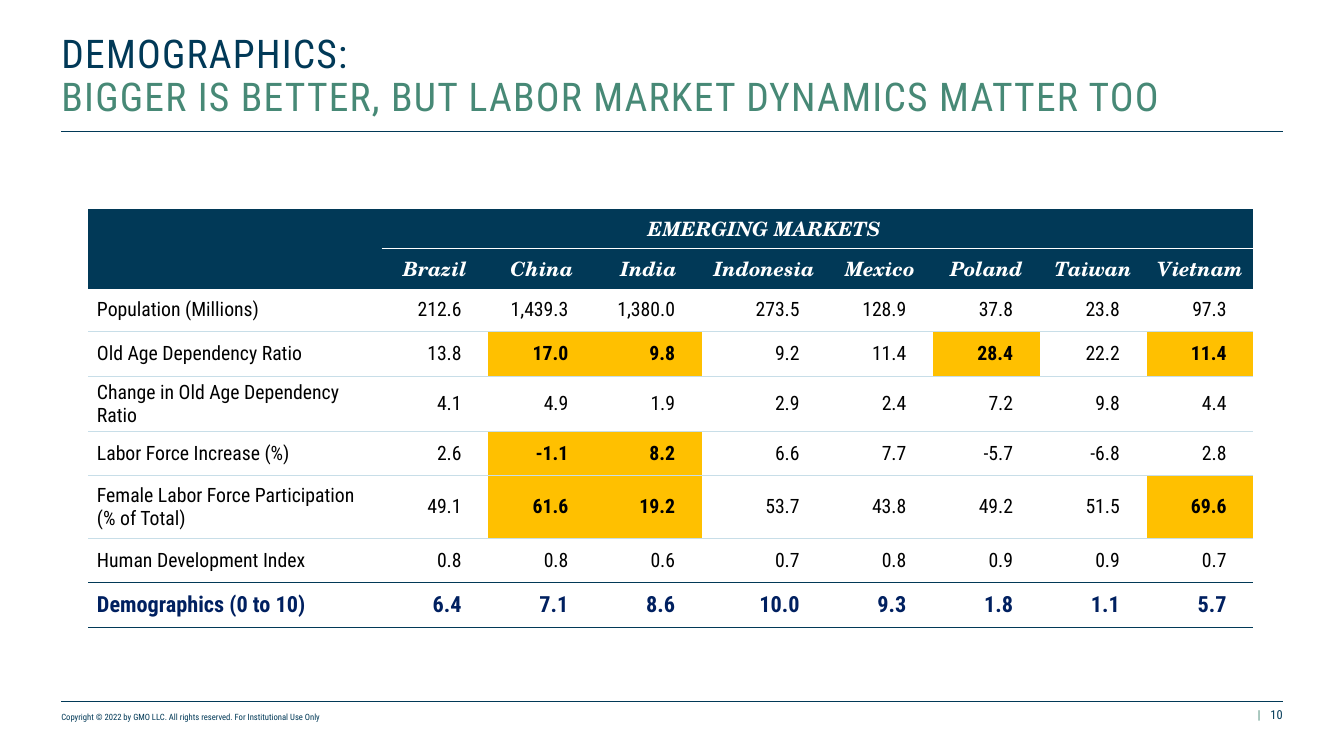
from lxml.etree import SubElement
from pptx import Presentation
from pptx.dml.color import RGBColor
from pptx.enum.shapes import MSO_CONNECTOR
from pptx.enum.text import MSO_ANCHOR as Anchor, MSO_AUTO_SIZE, PP_ALIGN as Align
from pptx.oxml.ns import qn
from pptx.util import Inches, Pt

SANS, SERIF = "Roboto Condensed", "TeX Gyre Schola"
NAVY, GREEN, PALE, WHITE = "013957", "478976", "C8DEE8", "FFFFFF"
GOLD, BLACK, INDIGO = "FFC000", "000000", "002060"
LEFT, RIGHT = 0.69, 14.42

COUNTRIES = "Brazil China India Indonesia Mexico Poland Taiwan Vietnam".split()
COLUMN_WIDTHS = [3.3] + [1.4 if name == "Indonesia" else 1.2 for name in COUNTRIES]
HEADER_HEIGHTS = [0.44, 0.45]
INDICATORS = [
    (0.49, "Population (Millions)", "212.6 1,439.3 1,380.0 273.5 128.9 37.8 23.8 97.3", ""),
    (0.5, "Old Age Dependency Ratio", "13.8 17.0 9.8 9.2 11.4 28.4 22.2 11.4",
     "China India Poland Vietnam"),
    (0.62, "Change in Old Age Dependency Ratio", "4.1 4.9 1.9 2.9 2.4 7.2 9.8 4.4", ""),
    (0.5, "Labor Force Increase (%)", "2.6 -1.1 8.2 6.6 7.7 -5.7 -6.8 2.8", "China India"),
    (0.7, "Female Labor Force Participation\v(% of Total)",
     "49.1 61.6 19.2 53.7 43.8 49.2 51.5 69.6", "China India Vietnam"),
    (0.5, "Human Development Index", "0.8 0.8 0.6 0.7 0.8 0.9 0.9 0.7", ""),
    (0.5, "Demographics (0 to 10)", "6.4 7.1 8.6 10.0 9.3 1.8 1.1 5.7", ""),
]
RULES_BELOW = [WHITE, NAVY] + [PALE] * 5 + [NAVY] * 2


def color(value):
    """Turn a hex string into a colour."""
    return RGBColor.from_string(value)


def style_font(font, name, size, hex_color, bold=False, italic=False):
    """Set the typeface, size, colour and weight of a font."""
    font.name, font.size, font.bold, font.italic = name, Pt(size), bold, italic
    font.color.rgb = color(hex_color)


def clear_margins(frame):
    """Remove the insets and seat the text at the bottom."""
    frame.margin_left = frame.margin_right = frame.margin_top = frame.margin_bottom = 0
    frame.vertical_anchor = Anchor.BOTTOM
    frame.word_wrap = True
    frame.auto_size = MSO_AUTO_SIZE.NONE


def add_label(page, text, left, width, size, hex_color, align=Align.LEFT):
    """Add one line of footer text."""
    box = page.shapes.add_textbox(Inches(left), Inches(7.95), Inches(width), Inches(0.17))
    clear_margins(box.text_frame)
    para = box.text_frame.paragraphs[0]
    para.text, para.alignment = text, align
    style_font(para.runs[0].font, SANS, size, hex_color)


def add_rule(page, top, weight):
    """Draw a horizontal line across the page."""
    rule = page.shapes.add_connector(
        MSO_CONNECTOR.STRAIGHT, Inches(LEFT), Inches(top), Inches(RIGHT), Inches(top))
    rule.line.color.rgb = color(NAVY)
    rule.line.width = Pt(weight)
    SubElement(rule._element.spPr, qn("a:effectLst"))


def set_title(page):
    """Place and format the two-colour title."""
    title = page.shapes.title
    title.left, title.top = Inches(LEFT), Inches(0.5)
    title.width, title.height = Inches(13.74), Inches(0.85)
    clear_margins(title.text_frame)
    para = title.text_frame.paragraphs[0]
    para.text = "DEMOGRAPHICS:\vBIGGER IS BETTER, BUT LABOR MARKET DYNAMICS MATTER TOO"
    para.alignment, para.line_spacing = Align.LEFT, 0.9
    for span, hex_color in zip(para.runs, (NAVY, GREEN)):
        style_font(span.font, SANS, 32, hex_color)
        span.font._element.set("spc", "100")
    SubElement(para._p.find(qn("a:br")), qn("a:rPr"), sz="3200")


def set_borders(cell, top, bottom):
    """Give a cell top and bottom lines and hide its sides."""
    properties = cell._tc.get_or_add_tcPr()
    for side, hex_color in (("L", None), ("R", None), ("T", top), ("B", bottom)):
        line = SubElement(properties, qn(f"a:ln{side}"), w=str(Pt(1)))
        if hex_color:
            fill = SubElement(line, qn("a:solidFill"))
            SubElement(fill, qn("a:srgbClr"), val=hex_color)
        else:
            SubElement(line, qn("a:noFill"))


def set_fill(cell, hex_color=None):
    """Fill a cell, or leave it clear."""
    if hex_color:
        cell.fill.solid()
        cell.fill.fore_color.rgb = color(hex_color)
    else:
        cell.fill.background()


def write_cell(cell, text, align, anchor, *font_style):
    """Write formatted text into a cell."""
    cell.vertical_anchor = anchor
    para = cell.text_frame.paragraphs[0]
    para.text, para.alignment = text, align
    for span in para.runs:
        style_font(span.font, *font_style)


def write_header(table):
    """Fill the two header rows."""
    style = (Align.CENTER, Anchor.BOTTOM, SERIF, 16, WHITE, True, True)
    table.cell(0, 1).merge(table.cell(0, 7))
    write_cell(table.cell(0, 1), "EMERGING MARKETS", *style)
    for column, country in enumerate(COUNTRIES, 1):
        write_cell(table.cell(1, column), country, *style)


def write_indicator(table, row, label, values, highlights):
    """Fill one indicator row, marking the highlighted countries."""
    total = row == len(RULES_BELOW) - 1
    size, ink = (18, INDIGO) if total else (16, BLACK)
    write_cell(table.cell(row, 0), label, Align.LEFT, Anchor.MIDDLE, SANS, size, ink, total)
    for column, (country, value) in enumerate(zip(COUNTRIES, values.split()), 1):
        cell = table.cell(row, column)
        marked = country in highlights.split()
        cell.margin_right = Inches(0.3)
        write_cell(cell, value, Align.RIGHT, Anchor.MIDDLE, SANS, size, ink, total or marked)
        if marked:
            set_fill(cell, GOLD)


def add_demographics_table(page):
    """Build the table of demographic indicators by country."""
    heights = HEADER_HEIGHTS + [indicator[0] for indicator in INDICATORS]
    table = page.shapes.add_table(
        len(heights), len(COLUMN_WIDTHS), Inches(0.99), Inches(2.35),
        Inches(sum(COLUMN_WIDTHS)), Inches(sum(heights))).table
    table.first_row = table.horz_banding = False
    for column, width in zip(table.columns, COLUMN_WIDTHS):
        column.width = Inches(width)
    for row, height in enumerate(heights):
        table.rows[row].height = Inches(height)
        for column in range(len(COLUMN_WIDTHS)):
            cell = table.cell(row, column)
            top = RULES_BELOW[row - 1] if row else None
            bottom = RULES_BELOW[row]
            if column == 0:
                top = None if row == 1 else top
                bottom = None if row == 0 else bottom
            set_borders(cell, top, bottom)
            set_fill(cell, NAVY if row < len(HEADER_HEIGHTS) else None)
    write_header(table)
    for row, (_, label, values, highlights) in enumerate(INDICATORS, len(HEADER_HEIGHTS)):
        write_indicator(table, row, label, values, highlights)


def main():
    """Build the demographics slide and save it."""
    deck = Presentation()
    deck.slide_width, deck.slide_height = Inches(15.11), Inches(8.5)
    page = deck.slides.add_slide(deck.slide_layouts[5])
    set_title(page)
    add_rule(page, 1.48, 1)
    add_demographics_table(page)
    add_rule(page, 7.88, 0.5)
    add_label(page, "Copyright © 2022 by GMO LLC. All rights reserved. For Institutional Use Only",
              LEFT, 7.1, 7, NAVY)
    add_label(page, "|", 14.1, 0.11, 10, GREEN, Align.CENTER)
    add_label(page, "10", 11.02, 3.4, 10, NAVY, Align.RIGHT)
    deck.save("out.pptx")


if __name__ == "__main__":
    main()
